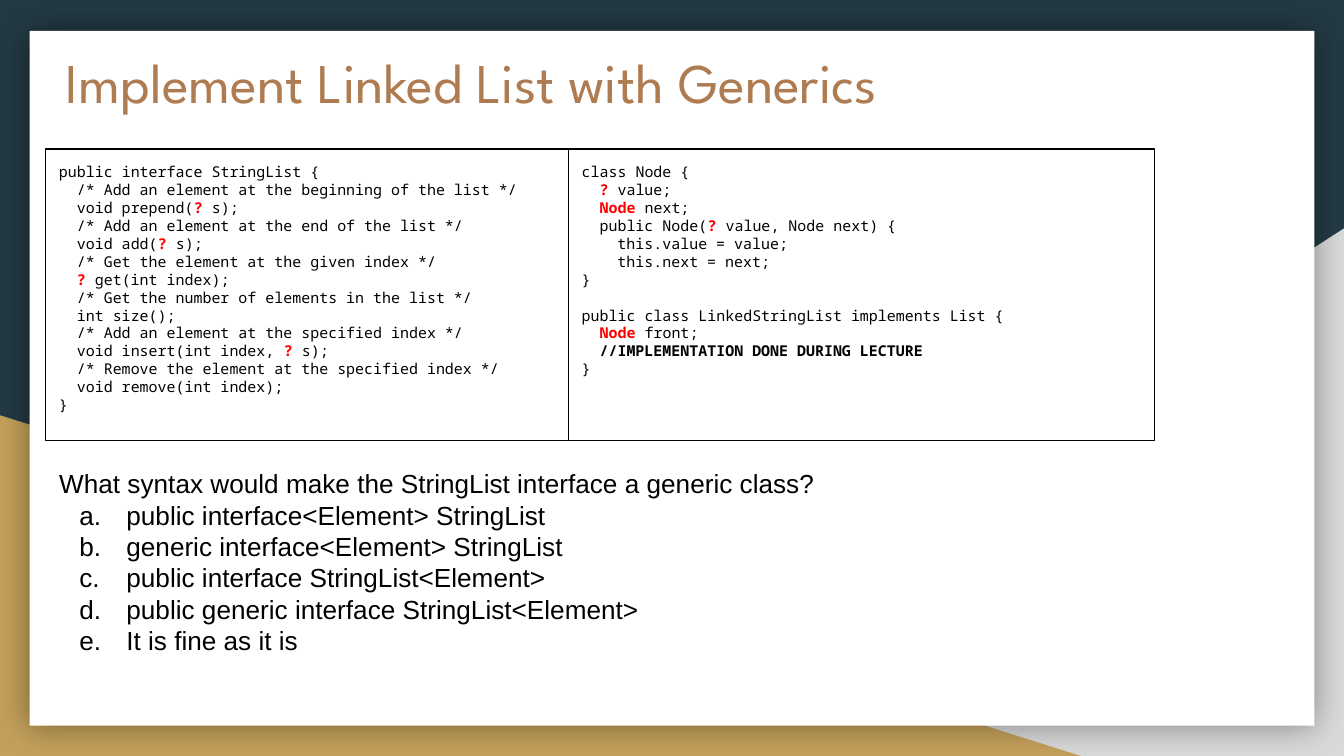
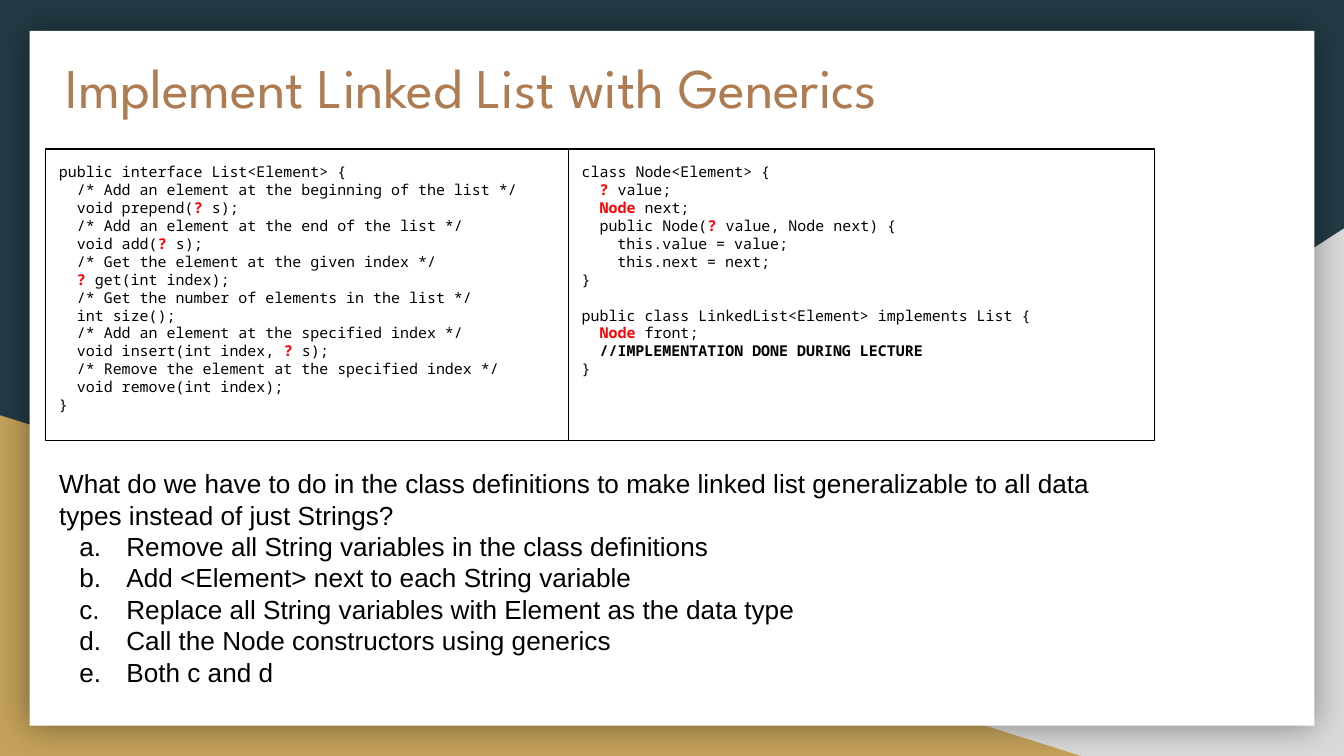
from lxml import etree
from pptx import Presentation
from pptx import util as u
from pptx.dml import color
from pptx.enum import shapes, text
from pptx.oxml import ns

NAVY, GREY, GOLD, WHITE = "233A44", "D9D9D9", "C4A15A", "FFFFFF"
BROWN, BLACK, RED = "AF7B51", "000000", "FF0000"
TITLE_FONT, BODY_FONT, CODE_FONT = "League Spartan", "Arial", "Noto Sans Mono"
TITLE_SIZE, BODY_SIZE, CODE_SIZE = 30, 14, 8
LINE_SPACING = 1.2
SPACE_WIDTH = 0.6 * CODE_SIZE
PAGE_WIDTH = 10
PAGE_HEIGHT = PAGE_WIDTH * 9 / 16
TITLE = "Implement Linked List with Generics"
CODE_TOP, CODE_HEIGHT = 1.11, 2.17
LEFT_EDGE, LEFT_WIDTH, RIGHT_WIDTH = 0.34, 3.89, 4.36

INTERFACE_BODY = [
    "  /* Add an element at the beginning of the list */",
    "  void prepend(|?| s);",
    "  /* Add an element at the end of the list */",
    "  void add(|?| s);",
    "  /* Get the element at the given index */",
    "  |?| get(int index);",
    "  /* Get the number of elements in the list */",
    "  int size();",
    "  /* Add an element at the specified index */",
    "  void insert(int index, |?| s);",
    "  /* Remove the element at the specified index */",
    "  void remove(int index);",
    "}",
]
NODE_BODY = [
    "  |?| value;",
    "  |Node| next;",
    "  public Node(|?| value, Node next) {",
    "    this.value = value;",
    "    this.next = next;",
    "}",
]
LINKED_BODY = [
    "  |Node| front;",
    "  //IMPLEMENTATION DONE DURING LECTURE",
    "}",
]


def rgb(value):
    return color.RGBColor.from_string(value)


def write(para, content, font, size, ink=BLACK, bold=False, before=0):
    para.alignment = text.PP_ALIGN.LEFT
    para.line_spacing = u.Pt(size * LINE_SPACING)
    para.space_before = u.Pt(before)
    para.space_after = u.Pt(0)
    for index, piece in enumerate(content.split("|")):
        if not piece:
            continue
        marked = index % 2 == 1
        span = para.add_run()
        span.text = piece
        span.font.name = font
        span.font.size = u.Pt(size)
        span.font.bold = bold or marked
        span.font.color.rgb = rgb(RED if marked else ink)


def set_indent(para, left, first=0):
    properties = para._p.get_or_add_pPr()
    properties.set("marL", str(int(left)))
    properties.set("indent", str(int(first)))
    return properties


def prepare_frame(frame):
    frame.word_wrap = True
    frame.auto_size = text.MSO_AUTO_SIZE.NONE
    frame.vertical_anchor = text.MSO_ANCHOR.TOP
    frame.margin_left = frame.margin_right = u.Inches(0.1)
    frame.margin_top = frame.margin_bottom = u.Inches(0.1)


def place(holder, left, top, width, height):
    holder.left, holder.top = u.Inches(left), u.Inches(top)
    holder.width, holder.height = u.Inches(width), u.Inches(height)


def add_box(page, kind, left, top, width, height, fill=None, line=None):
    box = page.shapes.add_shape(kind, *map(u.Inches, (left, top, width, height)))
    box.shadow.inherit = False
    if fill:
        box.fill.solid()
        box.fill.fore_color.rgb = rgb(fill)
    else:
        box.fill.background()
    if line:
        box.line.color.rgb = rgb(line)
        box.line.width = u.Pt(0.75)
    else:
        box.line.fill.background()
    return box


def add_soft_shadow(box):
    effects = box.element.spPr.find(ns.qn("a:effectLst"))
    shadow = etree.SubElement(effects, ns.qn("a:outerShdw"),
                              blurRad=str(u.Pt(18)), dist="0", dir="0",
                              algn="ctr", rotWithShape="0")
    tint = etree.SubElement(shadow, ns.qn("a:srgbClr"), val=BLACK)
    etree.SubElement(tint, ns.qn("a:alpha"), val="40000")


def decorate_layout(layout, page):
    layout.background.fill.solid()
    layout.background.fill.fore_color.rgb = rgb(NAVY)
    triangle = shapes.MSO_SHAPE.RIGHT_TRIANGLE
    grey_corner = add_box(page, triangle, 3.92, 1.7, 6.08, 3.93, GREY)
    grey_corner.element.spPr.find(ns.qn("a:xfrm")).set("flipH", "1")
    gold_corner = add_box(page, triangle, 0, 3.09, 8.06, 2.54, GOLD)
    paper = add_box(page, shapes.MSO_SHAPE.RECTANGLE, 0.22, 0.23, 9.56, 5.17, WHITE)
    add_soft_shadow(paper)
    for position, shape in enumerate((grey_corner, gold_corner, paper), start=2):
        layout.shapes.element.insert(position, shape.element)


def add_title(page, top):
    title = page.shapes.title
    place(title, 0.39, top, 8.21, 1.04)
    prepare_frame(title.text_frame)
    write(title.text_frame.paragraphs[0], TITLE, TITLE_FONT, TITLE_SIZE, BROWN)


def add_code(page, left, width, blocks):
    box = add_box(page, shapes.MSO_SHAPE.RECTANGLE, left, CODE_TOP, width,
                  CODE_HEIGHT, line=BLACK)
    frame = box.text_frame
    prepare_frame(frame)
    para = frame.paragraphs[0]
    for block_index, block in enumerate(blocks):
        for line_index, line in enumerate(block):
            if block_index or line_index:
                para = frame.add_paragraph()
            content = line.lstrip()
            new_block = block_index > 0 and line_index == 0
            write(para, content, CODE_FONT, CODE_SIZE,
                  bold=content.startswith("//"),
                  before=CODE_SIZE * LINE_SPACING if new_block else 0)
            set_indent(para, u.Pt(SPACE_WIDTH * (len(line) - len(content))))


def add_question(page, question, answers):
    body = page.placeholders[1]
    place(body, LEFT_EDGE, 3.38, 7.92, 1.97)
    frame = body.text_frame
    prepare_frame(frame)
    para = frame.paragraphs[0]
    write(para, question, BODY_FONT, BODY_SIZE)
    etree.SubElement(set_indent(para, 0), ns.qn("a:buNone"))
    for answer in answers:
        para = frame.add_paragraph()
        write(para, answer, BODY_FONT, BODY_SIZE)
        properties = set_indent(para, u.Inches(0.5), u.Inches(-0.35))
        bullet_color = etree.SubElement(properties, ns.qn("a:buClr"))
        etree.SubElement(bullet_color, ns.qn("a:srgbClr"), val=BLACK)
        etree.SubElement(properties, ns.qn("a:buFont"), typeface=BODY_FONT)
        etree.SubElement(properties, ns.qn("a:buAutoNum"), type="alphaLcPeriod")


def fill_page(page, title_top, interface, node, linked, question, answers):
    add_title(page, title_top)
    add_code(page, LEFT_EDGE, LEFT_WIDTH, [[interface] + INTERFACE_BODY])
    add_code(page, LEFT_EDGE + LEFT_WIDTH, RIGHT_WIDTH,
             [[node] + NODE_BODY, [linked] + LINKED_BODY])
    add_question(page, question, answers)


def main():
    deck = Presentation()
    deck.slide_width, deck.slide_height = u.Inches(PAGE_WIDTH), u.Inches(PAGE_HEIGHT)
    layout = deck.slide_layouts[1]
    syntax_page = deck.slides.add_slide(layout)
    decorate_layout(layout, syntax_page)
    fill_page(
        syntax_page, 0.25,
        "public interface StringList {",
        "class Node {",
        "public class LinkedStringList implements List {",
        "What syntax would make the StringList interface a generic class?",
        ["public interface<Element> StringList",
         "generic interface<Element> StringList",
         "public interface StringList<Element>",
         "public generic interface StringList<Element>",
         "It is fine as it is"])
    fill_page(
        deck.slides.add_slide(layout), 0.29,
        "public interface List<Element> {",
        "class Node<Element> {",
        "public class LinkedList<Element> implements List {",
        "What do we have to do in the class definitions to make linked list "
        "generalizable to all data types instead of just Strings?",
        ["Remove all String variables in the class definitions",
         "Add <Element> next to each String variable",
         "Replace all String variables with Element as the data type",
         "Call the Node constructors using generics",
         "Both c and d"])
    deck.save("out.pptx")


if __name__ == "__main__":
    main()
